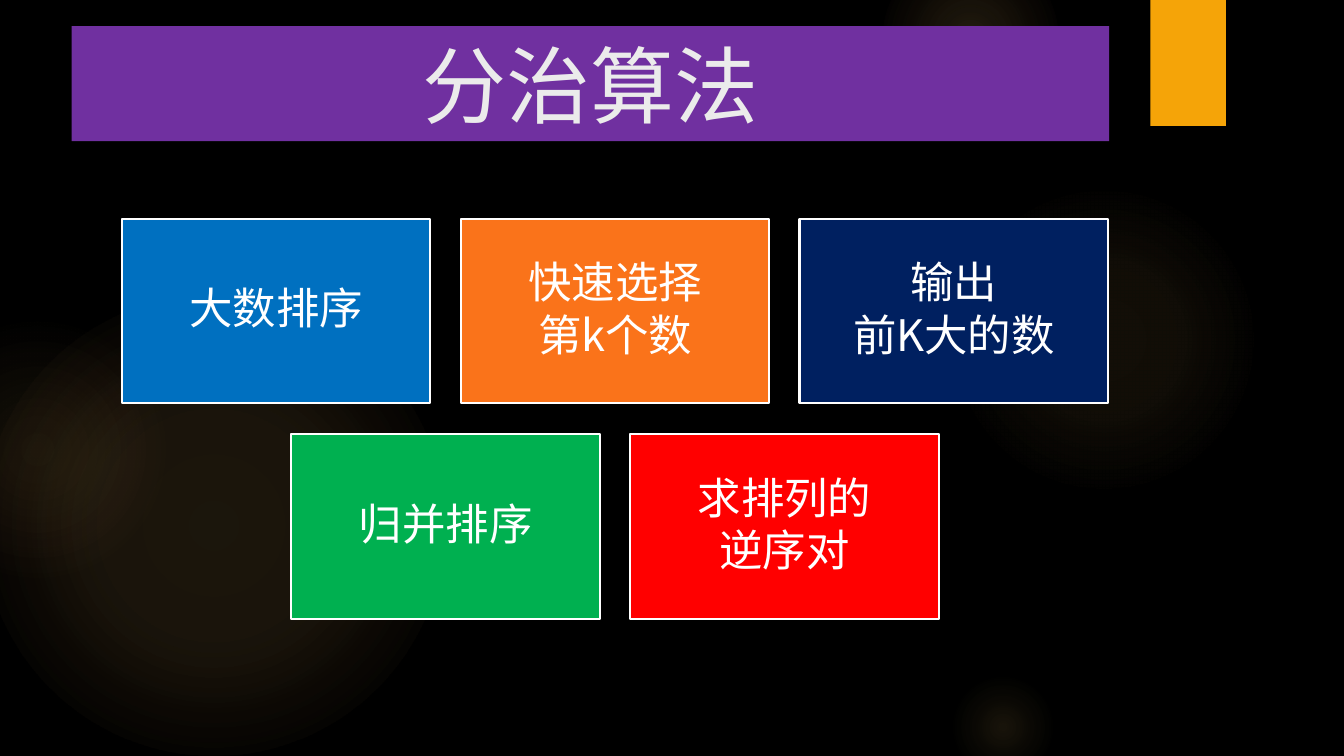
from lxml.etree import SubElement
from pptx import Presentation
from pptx.dml.color import RGBColor
from pptx.enum.shapes import MSO_SHAPE
from pptx.enum.text import MSO_ANCHOR, MSO_AUTO_SIZE, PP_ALIGN
from pptx.oxml import parse_xml
from pptx.oxml.ns import nsdecls, qn
from pptx.util import Inches, Pt

COLORS = {
    "background": "000000", "glow": "FAC96A", "glow_edge": "F59B74",
    "tab": "F5A408", "title_bar": "7030A0", "title": "EBEBEB", "white": "FFFFFF",
    "blue": "0070C0", "orange": "FA731A", "navy": "002060",
    "green": "00B050", "red": "FF0000",
}
CARD_FONT = "Noto Sans CJK SC"


def add_filled(kind, left, top, width, height, color):
    shape = slide.shapes.add_shape(
        kind, Inches(left), Inches(top), Inches(width), Inches(height))
    shape.shadow.inherit = False
    shape.fill.solid()
    shape.fill.fore_color.rgb = RGBColor.from_string(COLORS[color])
    shape.line.fill.background()
    return shape


def style_paragraph(paragraph, font_name, size, color):
    paragraph.alignment = PP_ALIGN.CENTER
    paragraph.font.name = font_name
    paragraph.font.size = Pt(size)
    paragraph.font.color.rgb = RGBColor.from_string(COLORS[color])
    for run in paragraph.runs:
        east_asian = SubElement(run._r.get_or_add_rPr(), qn("a:ea"))
        east_asian.set("typeface", CARD_FONT)


presentation = Presentation()
presentation.slide_width = Inches(13.33)
presentation.slide_height = Inches(7.5)
slide = presentation.slides.add_slide(presentation.slide_layouts[5])
slide.background.fill.solid()
slide.background.fill.fore_color.rgb = RGBColor.from_string(COLORS["background"])

glows = [
    (-0.17, 2.92, 4.58, (11, 10), (36, 75), "glow"),
    (-0.92, 3.17, 2.58, (8, 5), (36, 71), "glow_edge"),
    (9.41, 1.83, 3.08, (7, 6), (36, 69), "glow"),
    (8.75, -0.5, 1.75, (14, 7), (36, 73), "glow"),
    (9.41, 6.67, 1.08, (10, 5), (31, 66), "glow"),
]
for left, top, size, (center, middle), (inner, outer), edge in glows:
    glow = add_filled(MSO_SHAPE.OVAL, left, top, size, size, "glow")
    stops = "".join(
        f'<a:gs pos="{position * 1000}"><a:srgbClr val="{COLORS[color]}">'
        f'<a:alpha val="{alpha * 1000}"/></a:srgbClr></a:gs>'
        for position, color, alpha in
        [(0, "glow", center), (inner, "glow", middle), (outer, edge, 0)])
    gradient = parse_xml(
        f'<a:gradFill {nsdecls("a")} rotWithShape="1"><a:gsLst>{stops}</a:gsLst>'
        '<a:path path="circle"><a:fillToRect l="50000" t="50000" r="50000" b="50000"/>'
        '</a:path></a:gradFill>')
    properties = glow._element.spPr
    properties.replace(properties.find(qn("a:solidFill")), gradient)

tab = add_filled(MSO_SHAPE.RECTANGLE, 11.41, 0, 0.75, 1.25, "tab")
tab._element.spPr.find(qn("a:effectLst")).append(parse_xml(
    f'<a:outerShdw {nsdecls("a")} blurRad="{Pt(3)}" dist="{Pt(2)}" dir="5400000">'
    '<a:srgbClr val="000000"><a:alpha val="45000"/></a:srgbClr></a:outerShdw>'))

title = slide.shapes.title
slide.shapes._spTree.append(title._element)
title.left, title.top = Inches(0.71), Inches(0.26)
title.width, title.height = Inches(10.29), Inches(1.14)
title.fill.solid()
title.fill.fore_color.rgb = RGBColor.from_string(COLORS["title_bar"])
title.text_frame.text = "分治算法"
title.text_frame.auto_size = MSO_AUTO_SIZE.NONE
title.text_frame.vertical_anchor = MSO_ANCHOR.MIDDLE
style_paragraph(title.text_frame.paragraphs[0], "Quicksand", 60, "title")

card_width, card_height, gap = 3.06, 1.83, 0.3
cards_left, cards_top, columns = 1.21, 2.17, 3
card_rows = [
    [("大数排序", "blue"), ("快速选择\n第k个数", "orange"), ("输出\n前K大的数", "navy")],
    [("归并排序", "green"), ("求排列的\n逆序对", "red")],
]
for row, cards in enumerate(card_rows):
    indent = (columns - len(cards)) / 2
    for column, (label, color) in enumerate(cards):
        card = add_filled(
            MSO_SHAPE.RECTANGLE,
            cards_left + (column + indent) * (card_width + gap),
            cards_top + row * (card_height + gap + 0.01),
            card_width, card_height, color)
        card.line.color.rgb = RGBColor.from_string(COLORS["white"])
        card.line.width = Pt(1.5)
        frame = card.text_frame
        frame.word_wrap = True
        frame.vertical_anchor = MSO_ANCHOR.MIDDLE
        frame.margin_left = frame.margin_right = Inches(0.13)
        frame.margin_top = frame.margin_bottom = Inches(0.13)
        frame.text = label
        for paragraph in frame.paragraphs:
            paragraph.line_spacing = 0.9
            paragraph.space_after = Pt(4)
            style_paragraph(paragraph, CARD_FONT, 31, "white")

presentation.save("out.pptx")
